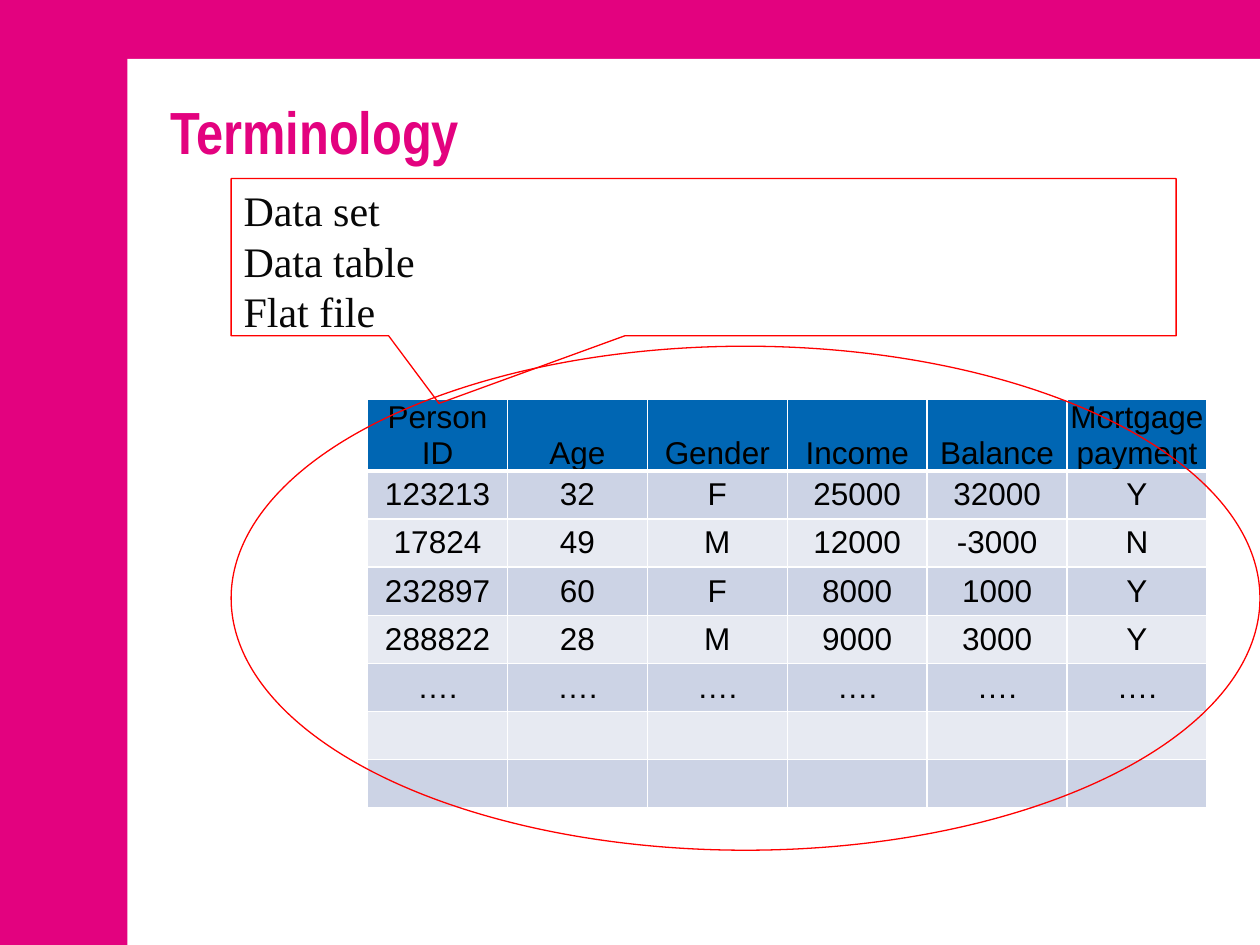
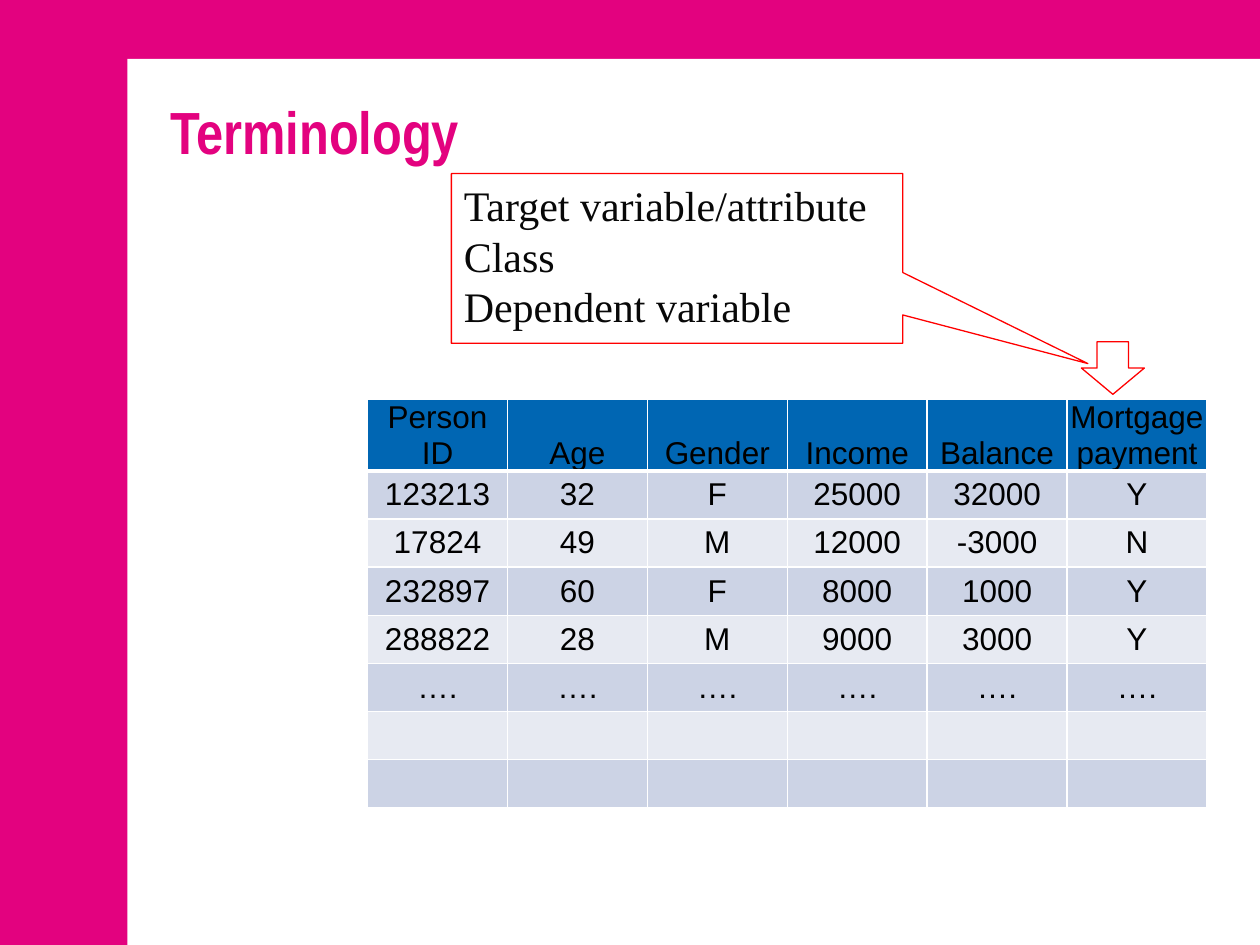
from lxml import etree
from pptx import Presentation
from pptx.dml.color import RGBColor
from pptx.enum.shapes import MSO_SHAPE
from pptx.enum.text import MSO_ANCHOR, PP_ALIGN
from pptx.oxml import parse_xml
from pptx.oxml.ns import nsdecls
from pptx.util import Cm, Pt

RECT, OVAL = MSO_SHAPE.RECTANGLE, MSO_SHAPE.OVAL
CALL, DOWN = MSO_SHAPE.RECTANGULAR_CALLOUT, MSO_SHAPE.DOWN_ARROW
LEFT, MID = PP_ALIGN.LEFT, PP_ALIGN.CENTER
TOP, LOW = MSO_ANCHOR.TOP, MSO_ANCHOR.BOTTOM

HUE = {"pink": "E3027F", "white": "FFFFFF", "head": "0066B3", "odd": "CCD3E5",
       "even": "E7EAF2", "red": "FF0000", "ink": "080808", "black": "000000"}

ROWS = [
    ["Person ID", "Age", "Gender", "Income", "Balance", "Mortgage payment"],
    ["123213", "32", "F", "25000", "32000", "Y"],
    ["17824", "49", "M", "12000", "-3000", "N"],
    ["232897", "60", "F", "8000", "1000", "Y"],
    ["288822", "28", "M", "9000", "3000", "Y"],
    ["…."] * 6,
    [""] * 6,
    [""] * 6,
]

# Marks on each slide: shape, box in cm, adjustments, text
MARKS = [
    [(OVAL, (4.66, 6.98, 20.74, 10.16), (), ""),
     (CALL, (4.66, 3.6, 19.05, 3.17), (-0.28, 0.93),
      "Data set\nData table\nFlat file")],
    [(CALL, (9.1, 3.5, 9.1, 3.42), (0.91, 0.62),
      "Target variable/attribute\nClass\nDependent variable"),
     (DOWN, (21.8, 6.89, 1.27, 1.06), (), "")],
]


def put(frame, text, font="Arial", size=18, hue="black", bold=False, align=LEFT):
    frame.word_wrap = True
    frame.text = text
    for para in frame.paragraphs:
        para.alignment = align
        for run in para.runs:
            run.font.name, run.font.size, run.font.bold = font, Pt(size), bold
            run.font.color.rgb = RGBColor.from_string(HUE[hue])


def draw(slide, kind, box, fill=None, line=None):
    shape = slide.shapes.add_shape(kind, *[Cm(v) for v in box])
    shape.shadow.inherit = False
    if fill:
        shape.fill.solid()
        shape.fill.fore_color.rgb = RGBColor.from_string(HUE[fill])
    else:
        shape.fill.background()
    if line:
        shape.line.color.rgb = RGBColor.from_string(HUE[line])
        shape.line.width = Pt(0.75)
    else:
        shape.line.fill.background()
    return shape


deck = Presentation()
deck.slide_width, deck.slide_height = Cm(25.4), Cm(19.05)
back = deck.slide_master.background.fill
back.solid()
back.fore_color.rgb = RGBColor.from_string(HUE["pink"])

for marks in MARKS:
    slide = deck.slides.add_slide(deck.slide_layouts[5])

    # White panel behind everything
    panel = draw(slide, RECT, (2.57, 1.19, 22.83, 17.86), fill="white")
    slide.shapes.element.insert(2, panel.element)

    # Title
    title = slide.shapes.title
    title.left, title.top = Cm(3.18), Cm(1.78)
    title.width, title.height = Cm(21.44), Cm(3.4)
    put(title.text_frame, "Terminology", font="Arial Narrow", size=34, hue="pink",
        bold=True)
    title.text_frame.vertical_anchor = TOP

    # Data table
    grid = slide.shapes.add_table(len(ROWS), len(ROWS[0]), Cm(7.41), Cm(8.05),
                                  Cm(16.93), Cm(8.21)).table
    for col in grid.columns:
        col.width = Cm(2.82)
    for r, row in enumerate(ROWS):
        grid.rows[r].height = Cm(0.97 if r else 1.42)
        for c, text in enumerate(row):
            cell = grid.cell(r, c)
            if r == 0:
                cell.vertical_anchor = LOW
                cell.margin_left = cell.margin_right = cell.margin_top = Cm(0.02)
                cell.margin_bottom = 0
            if text:
                put(cell.text_frame, text, align=MID)
            else:
                cell.margin_top = cell.margin_bottom = 0
            prop = cell._tc.get_or_add_tcPr()
            for side in "LRTB":
                thick = (r, side) in ((0, "B"), (1, "T"))
                edge = parse_xml(f'<a:ln{side} {nsdecls("a")} w="{Pt(3 if thick else 1)}"/>')
                solid = etree.SubElement(edge, edge.tag.replace("ln" + side, "solidFill"))
                etree.SubElement(solid, solid.tag.replace("solidFill", "srgbClr"),
                                 val=HUE["white"])
                prop.append(edge)
            cell.fill.solid()
            tint = "head" if r == 0 else "odd" if r % 2 else "even"
            cell.fill.fore_color.rgb = RGBColor.from_string(HUE[tint])

    # Red marks and callouts
    for kind, box, bends, text in marks:
        mark = draw(slide, kind, box, line="red")
        for i, bend in enumerate(bends):
            mark.adjustments[i] = bend
        if text:
            put(mark.text_frame, text, font="Times New Roman", size=24, hue="ink")
            mark.text_frame.vertical_anchor = TOP

deck.save("out.pptx")
